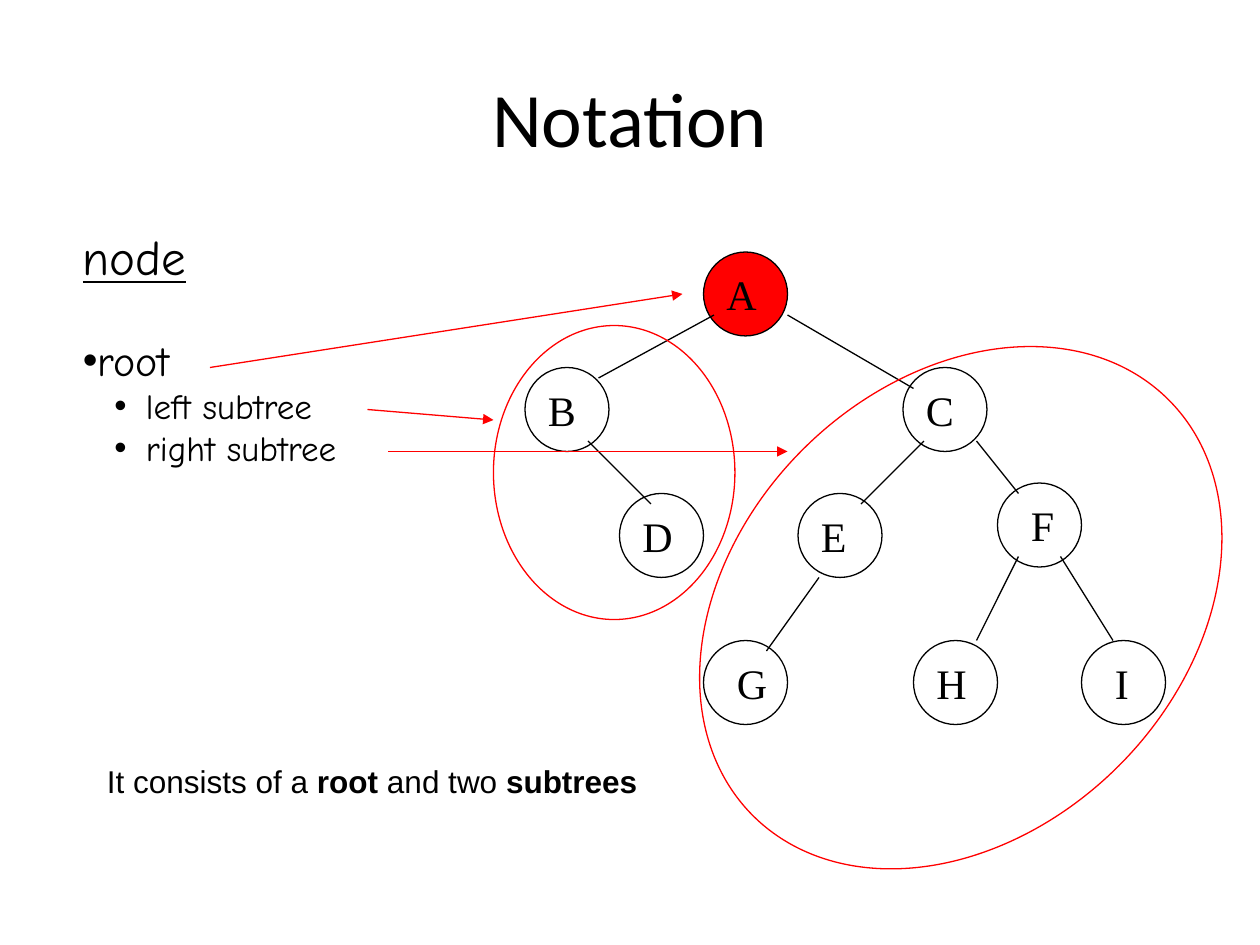
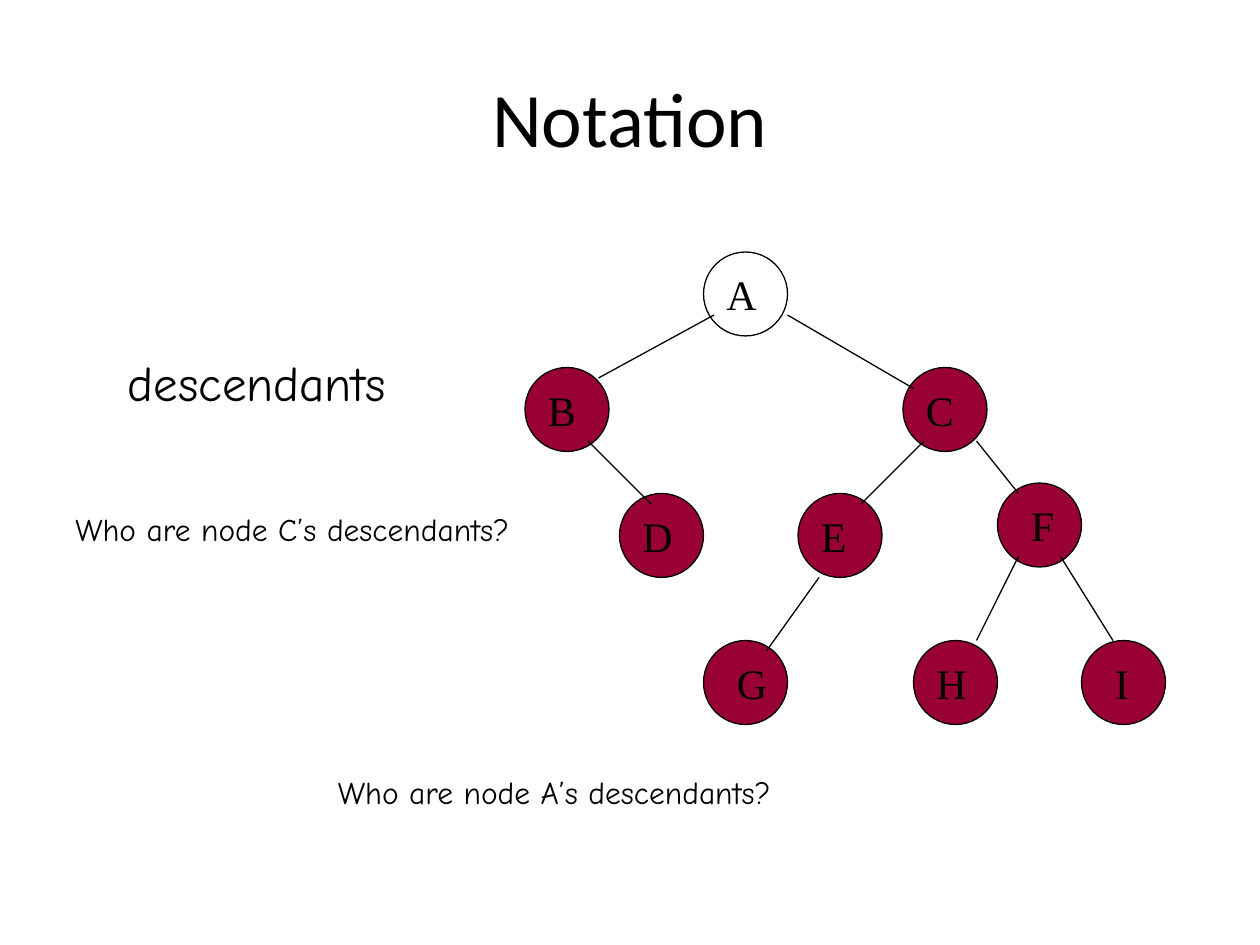
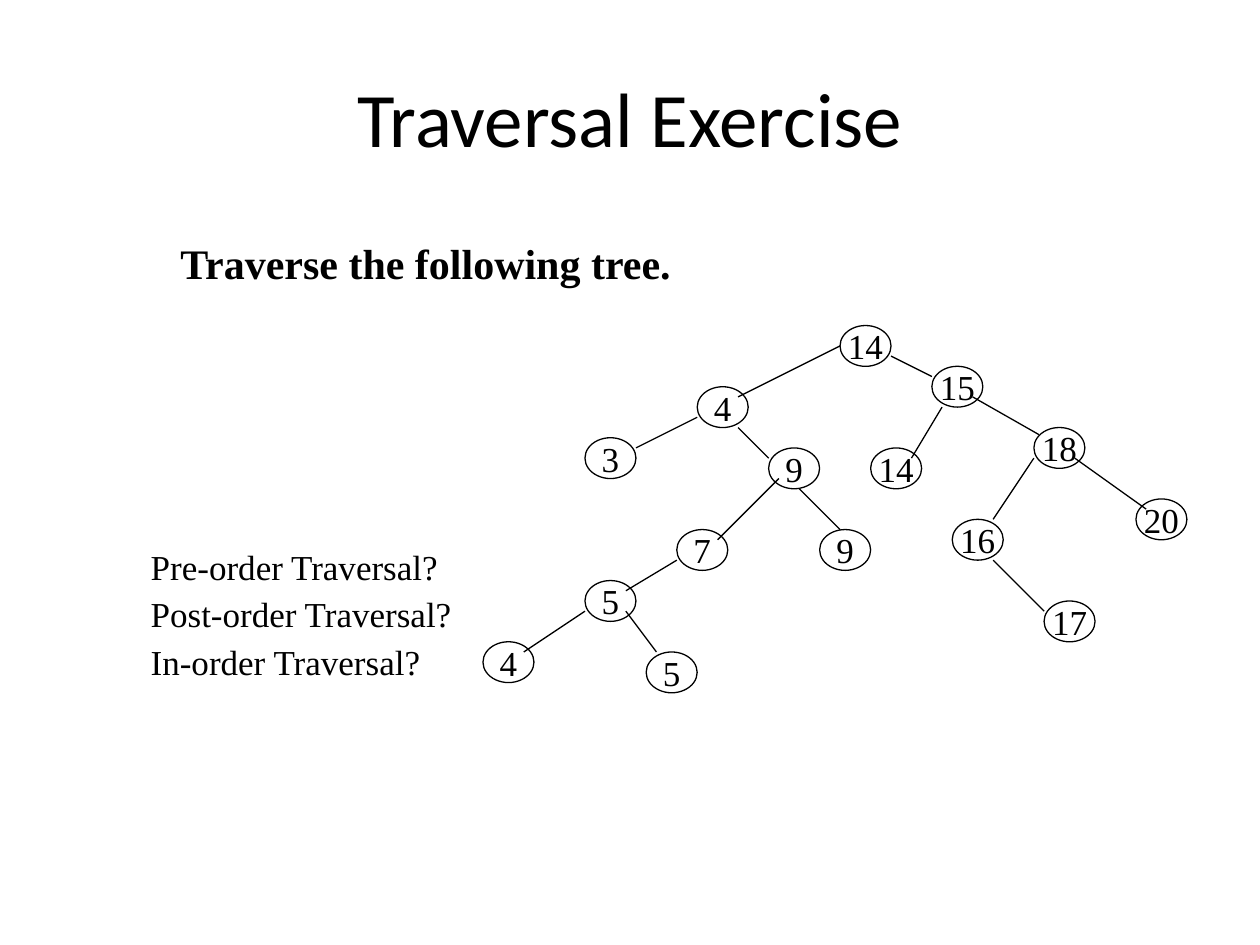
import pptx
import pptx.dml.color
import pptx.enum.shapes
import pptx.enum.text
import pptx.oxml
import pptx.oxml.ns
import pptx.util

Pt = pptx.util.Pt
ALIGN = pptx.enum.text.PP_ALIGN
MIDDLE = pptx.enum.text.MSO_ANCHOR.MIDDLE

COLORS = {"ink": "000000", "paper": "FFFFFF", "highlight": "FF0000", "descendant": "990033"}
FONTS = {"title": "Calibri", "hand": "Comic Neue", "serif": "Times New Roman", "plain": "Arial"}

LETTER_SIZE = 48
LETTER_NODES = {
    "A": (402, 144), "B": (300, 210), "C": (516, 210),
    "D": (354, 282), "E": (456, 282), "F": (570, 276),
    "G": (402, 366), "H": (522, 366), "I": (618, 366),
}
INDENTED_LETTERS = "FGI"
LETTER_EDGES = [
    (408, 180, 342, 216), (450, 180, 522, 222),
    (336, 252, 372, 288), (528, 252, 492, 288), (558, 252, 582, 282),
    (468, 330, 438, 372), (582, 318, 558, 366), (606, 318, 636, 366),
]

GRID_LEFT, GRID_TOP, GRID_STEP = 276, 186, 5.83
NUMBER_NODES = [
    ("14", 35, 0), ("15", 44, 4), ("4", 21, 6), ("9", 28, 12), ("3", 10, 11),
    ("18", 54, 10), ("20", 64, 17), ("16", 46, 19), ("17", 55, 27), ("14", 38, 12),
    ("9", 33, 20), ("7", 19, 20), ("5", 10, 25), ("4", 0, 31), ("5", 16, 32),
]
NUMBER_EDGES = [
    (40, 3, 44, 5), (25, 10, 28, 13), (21, 9, 15, 12), (48, 7, 54.5, 10.7),
    (58, 13, 65, 18), (35, 2, 25, 7), (54, 13, 50, 19), (50, 23, 55, 28),
    (31, 16, 35, 20), (29, 15, 23, 21), (19, 23, 14, 26), (10, 28, 4, 32),
    (14, 28, 17, 32), (45, 8, 42, 13),
]


def drawing_element(tag, **attributes):
    element = pptx.oxml.parse_xml(f"<a:{tag} {pptx.oxml.ns.nsdecls('a')}/>")
    for name, value in attributes.items():
        element.set(name, str(value))
    return element


class Deck:
    def __init__(self):
        self.presentation = pptx.Presentation()
        self.presentation.slide_width = Pt(720)
        self.presentation.slide_height = Pt(540)
        self.slide = None

    def color(self, name):
        return pptx.dml.color.RGBColor.from_string(COLORS[name])

    def add_run(self, paragraph, text, font, size, bold=False, underline=False):
        run = paragraph.add_run()
        run.text = text
        run.font.name = FONTS[font]
        run.font.size = Pt(size)
        run.font.bold = bold
        run.font.underline = underline
        run.font.color.rgb = self.color("ink")

    def start_slide(self, title):
        self.slide = self.presentation.slides.add_slide(self.presentation.slide_layouts[5])
        shape = self.slide.shapes.title
        shape.left, shape.top, shape.width, shape.height = Pt(36), Pt(21.6), Pt(648), Pt(90)
        shape.text_frame.vertical_anchor = MIDDLE
        paragraph = shape.text_frame.paragraphs[0]
        paragraph.alignment = ALIGN.CENTER
        self.add_run(paragraph, title, "title", 44)

    def text_box(self, left, top, width, height):
        shape = self.slide.shapes.add_textbox(Pt(left), Pt(top), Pt(width), Pt(height))
        shape.text_frame.word_wrap = True
        return shape.text_frame

    def label(self, text, left, top, width, height, font, size, bold=False):
        frame = self.text_box(left, top, width, height)
        self.add_run(frame.paragraphs[0], text, font, size, bold)

    def bullet(self, paragraph, margin, hanging):
        properties = paragraph._p.get_or_add_pPr()
        properties.set("marL", str(Pt(margin)))
        properties.set("indent", str(-Pt(hanging)))
        properties.append(drawing_element("buFont", typeface="Arial"))
        properties.append(drawing_element("buChar", char="•"))

    def ellipse(self, left, top, width, height, line="ink", fill=None, rotation=0):
        shape = self.slide.shapes.add_shape(
            pptx.enum.shapes.MSO_SHAPE.OVAL, Pt(left), Pt(top), Pt(width), Pt(height))
        shape.shadow.inherit = False
        shape.rotation = rotation
        shape.line.color.rgb = self.color(line)
        shape.line.width = Pt(0.75)
        if fill:
            shape.fill.solid()
            shape.fill.fore_color.rgb = self.color(fill)
        else:
            shape.fill.background()
        return shape

    def line(self, x1, y1, x2, y2, color="ink", arrow=False):
        connector = self.slide.shapes.add_connector(
            pptx.enum.shapes.MSO_CONNECTOR.STRAIGHT, Pt(x1), Pt(y1), Pt(x2), Pt(y2))
        connector.line.color.rgb = self.color(color)
        connector.line.width = Pt(0.75)
        if arrow:
            connector.line._get_or_add_ln().append(drawing_element("tailEnd", type="triangle"))
        connector._element.spPr.append(drawing_element("effectLst"))

    def letter_tree(self, filled, fill):
        for letter, (left, top) in LETTER_NODES.items():
            self.ellipse(left, top, LETTER_SIZE, LETTER_SIZE,
                         fill=fill if letter in filled else None)
        for edge in LETTER_EDGES:
            self.line(*edge)
        for letter, (left, top) in LETTER_NODES.items():
            offset = 12 if letter in INDENTED_LETTERS else 6
            self.label(letter, left + offset, top + 6, 32, 36, "serif", 24)

    def number_tree(self):
        def place(column, row):
            return GRID_LEFT + column * GRID_STEP, GRID_TOP + row * GRID_STEP

        for number, column, row in NUMBER_NODES:
            node = self.ellipse(*place(column, row), 5 * GRID_STEP, 4 * GRID_STEP, fill="paper")
            frame = node.text_frame
            frame.word_wrap = False
            frame.vertical_anchor = MIDDLE
            frame.paragraphs[0].alignment = ALIGN.CENTER
            self.add_run(frame.paragraphs[0], number, "serif", 20)
        for x1, y1, x2, y2 in NUMBER_EDGES:
            self.line(*place(x1, y1), *place(x2, y2))


def build_subtrees(deck):
    deck.start_slide("Notation")
    frame = deck.text_box(40.3, 126, 190, 148)
    deck.add_run(frame.paragraphs[0], "node", "hand", 28, underline=True)
    root = frame.add_paragraph()
    deck.bullet(root, 0, 0)
    root.space_before = Pt(28)
    deck.add_run(root, "root", "hand", 24)
    for text in ("left subtree", "right subtree"):
        paragraph = frame.add_paragraph()
        paragraph.level = 1
        deck.bullet(paragraph, 36, 18)
        deck.add_run(paragraph, text, "hand", 20)
    deck.letter_tree("A", "highlight")
    deck.ellipse(282, 186, 138, 168, line="highlight")
    deck.ellipse(381, 219.5, 336, 255.5, line="highlight", rotation=135)
    for arrow in ((120, 210, 390, 168), (210, 234, 282, 240), (222, 258, 450, 258)):
        deck.line(*arrow, color="highlight", arrow=True)
    sentence = deck.text_box(54, 432, 325, 29).paragraphs[0]
    for text, bold in (("It consists of a ", False), ("root ", True),
                       ("and two ", False), ("subtrees", True)):
        deck.add_run(sentence, text, "plain", 18, bold)


def build_descendants(deck):
    deck.start_slide("Notation")
    deck.letter_tree("BCDEFGHI", "descendant")
    deck.label("Who are node C’s descendants?", 36, 288, 285, 29, "hand", 18)
    deck.label("Who are node A’s descendants?", 186, 438, 285, 29, "hand", 18)
    deck.label("descendants", 66, 198, 182, 41, "hand", 28)


def build_traversal(deck):
    deck.start_slide("Traversal Exercise")
    deck.number_tree()
    frame = deck.text_box(79, 312, 192, 82)
    frame.vertical_anchor = MIDDLE
    for index, order in enumerate(("Pre", "Post", "In")):
        paragraph = frame.add_paragraph() if index else frame.paragraphs[0]
        paragraph.line_spacing = 0.8
        if index:
            paragraph.space_before = Pt(8)
        deck.add_run(paragraph, f"{order}-order Traversal?", "serif", 20)
    deck.label("Traverse the following tree.", 96, 132, 426, 36, "serif", 24, bold=True)


def main():
    deck = Deck()
    build_subtrees(deck)
    build_descendants(deck)
    build_traversal(deck)
    deck.presentation.save("out.pptx")


if __name__ == "__main__":
    main()
